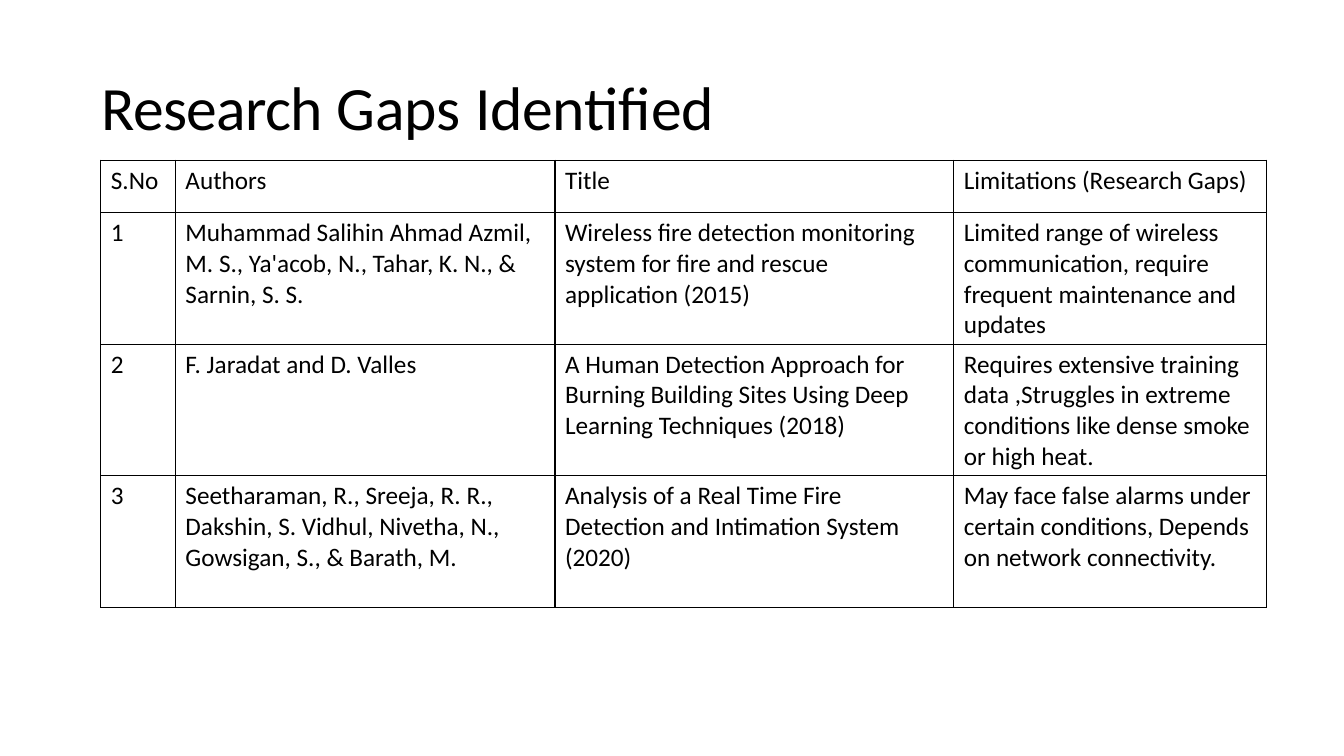
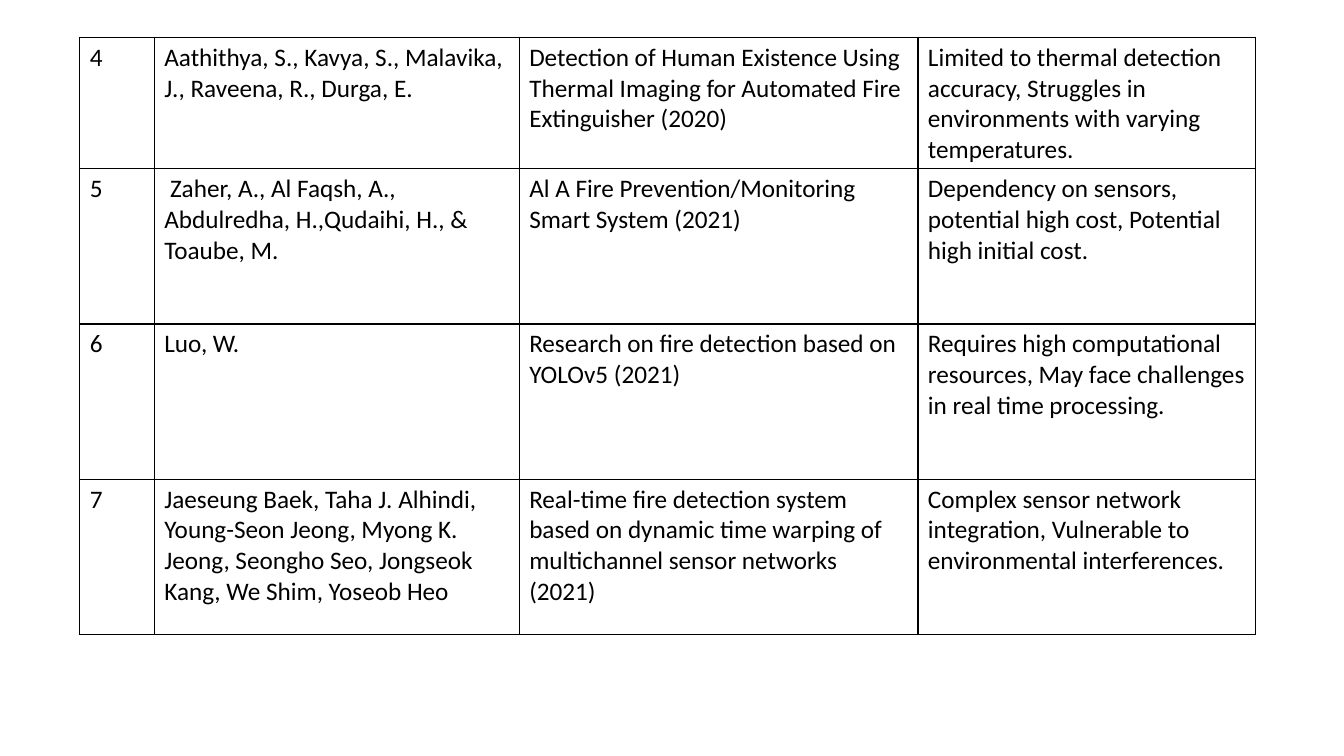
from lxml.etree import SubElement
from pptx import Presentation
from pptx.dml.color import RGBColor
from pptx.enum.text import MSO_ANCHOR
from pptx.oxml.ns import qn
from pptx.util import Inches, Pt

WIDTH, HEIGHT = Inches(13.33), Inches(7.5)
FONT = "Calibri"
COLORS = {"text": "000000", "border": "000000", "background": "FFFFFF"}

GAPS_HEADER = ["S.No", "Authors", "Title", "Limitations (Research Gaps)"]
EARLIER_STUDIES = [
    ["1",
     "Muhammad Salihin Ahmad Azmil, M. S., Ya'acob, N., Tahar, K. N., & Sarnin, S. S.",
     "Wireless fire detection monitoring system for fire and rescue application (2015)",
     "Limited range of wireless communication, require frequent maintenance and updates"],
    ["2",
     "F. Jaradat and D. Valles",
     "A Human Detection Approach for Burning Building Sites Using Deep Learning Techniques (2018)",
     "Requires extensive training data ,Struggles in extreme conditions like dense smoke or high heat."],
    ["3",
     "Seetharaman, R., Sreeja, R. R., Dakshin, S. Vidhul, Nivetha, N., Gowsigan, S., & Barath, M.",
     "Analysis of a Real Time Fire Detection and Intimation System (2020)",
     "May face false alarms under certain conditions, Depends on network connectivity."],
]
LATER_STUDIES = [
    ["4",
     "Aathithya, S., Kavya, S., Malavika, J., Raveena, R., Durga, E.",
     "Detection of Human Existence Using Thermal Imaging for Automated Fire Extinguisher (2020)",
     "Limited to thermal detection accuracy, Struggles in environments with varying temperatures."],
    ["5",
     " Zaher, A., Al Faqsh, A., Abdulredha, H.,Qudaihi, H., & Toaube, M.",
     "Al A Fire Prevention/Monitoring Smart System (2021)",
     "Dependency on sensors, potential high cost, Potential high initial cost."],
    ["6",
     "Luo, W.",
     "Research on fire detection based on YOLOv5 (2021)",
     "Requires high computational resources, May face challenges in real time processing."],
    ["7",
     "Jaeseung Baek, Taha J. Alhindi, Young-Seon Jeong, Myong K. Jeong, Seongho Seo, Jongseok Kang, We Shim, Yoseob Heo",
     "Real-time fire detection system based on dynamic time warping of multichannel sensor networks (2021)",
     "Complex sensor network integration, Vulnerable to environmental interferences."],
]


def across(percent):
    return round(WIDTH * percent / 100)


def down(percent):
    return round(HEIGHT * percent / 100)


def add_text(para, text, size=18, color="text", spacing=0):
    span = para.add_run()
    span.text = text
    span.font.name = FONT
    span.font.size = Pt(size)
    span.font.color.rgb = RGBColor.from_string(COLORS[color])
    if spacing:
        span.font._element.set("spc", str(round(spacing * 100)))


def add_page(deck):
    page = deck.slides.add_slide(deck.slide_layouts[6])
    page.background.fill.solid()
    page.background.fill.fore_color.rgb = RGBColor.from_string(COLORS["background"])
    return page


def add_title(page, spans):
    box = page.shapes.add_textbox(across(7.5), down(4), across(73.4), down(15.5))
    frame = box.text_frame
    frame.word_wrap = True
    frame.vertical_anchor = MSO_ANCHOR.TOP
    frame.margin_left = Inches(0.01)
    frame.margin_right = frame.margin_bottom = 0
    frame.margin_top = Inches(0.38)
    for text, spacing in spans:
        add_text(frame.paragraphs[0], text, size=44, spacing=spacing)


def add_borders(cell, width=1):
    properties = cell._tc.get_or_add_tcPr()
    for side in ("a:lnL", "a:lnR", "a:lnT", "a:lnB"):
        line = SubElement(properties, qn(side), w=str(Pt(width)))
        fill = SubElement(line, qn("a:solidFill"))
        SubElement(fill, qn("a:srgbClr"), val=COLORS["border"])


def add_grid(page, rows, left, top, widths, heights):
    table = page.shapes.add_table(
        len(rows), len(widths), across(left), down(top),
        across(sum(widths)), down(sum(heights))).table
    table.first_row = table.horz_banding = False
    for column, width in zip(table.columns, widths):
        column.width = across(width)
    for row, height, texts in zip(table.rows, heights, rows):
        row.height = down(height)
        for cell, text in zip(row.cells, texts):
            add_borders(cell)
            cell.fill.background()
            add_text(cell.text_frame.paragraphs[0], text)


def main():
    deck = Presentation()
    deck.slide_width, deck.slide_height = WIDTH, HEIGHT

    page = add_page(deck)
    add_title(page, [("Research ", -0.5), ("Gaps ", 0), ("Identified", -0.2)])
    add_grid(page, [GAPS_HEADER] + EARLIER_STUDIES, left=7.5, top=21.2,
             widths=[5.55, 28.25, 29.67, 23.25], heights=[6.93] + [17.4] * 3)

    page = add_page(deck)
    add_grid(page, LATER_STUDIES, left=5.93, top=4.93,
             widths=[5.55, 27.15, 29.67, 25.13], heights=[17.4] + [20.53] * 3)

    deck.save("out.pptx")


if __name__ == "__main__":
    main()
